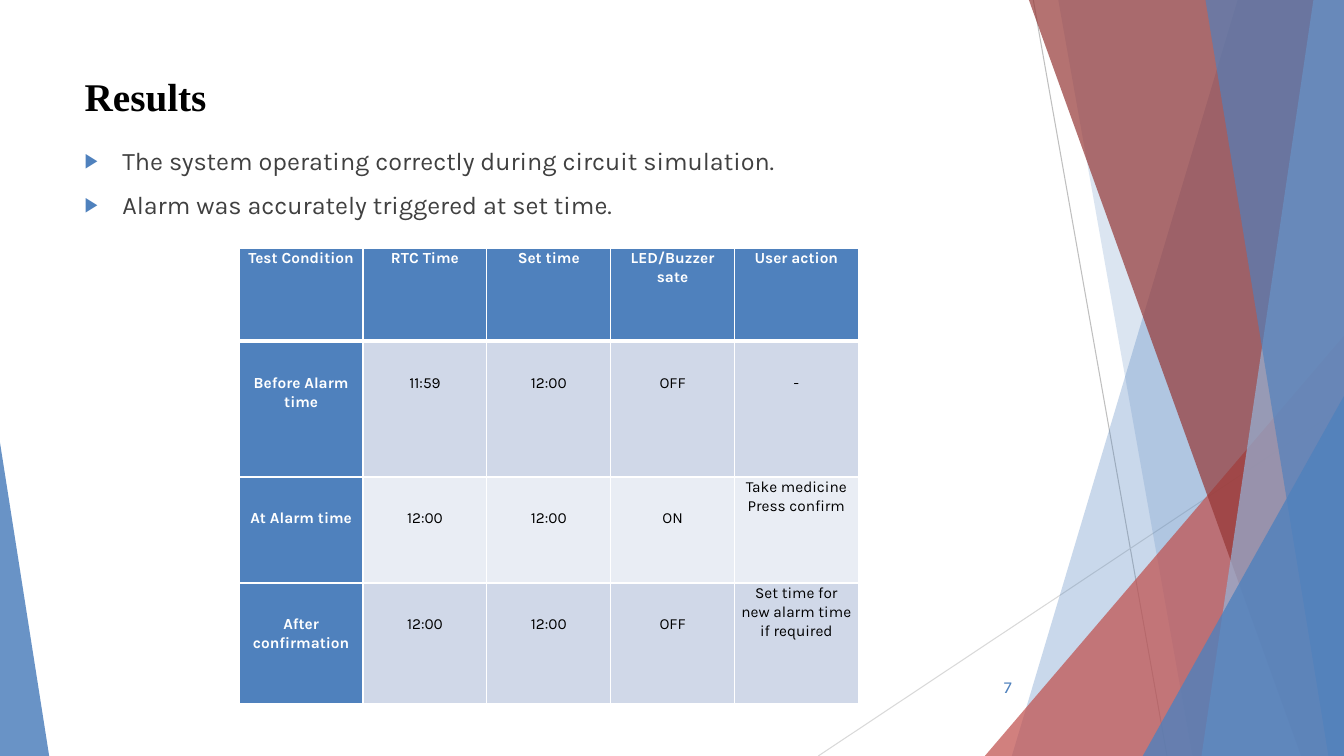
from lxml.etree import SubElement
from pptx import Presentation
from pptx.dml.color import RGBColor
from pptx.enum.shapes import MSO_CONNECTOR, MSO_SHAPE
from pptx.enum.text import MSO_ANCHOR, MSO_AUTO_SIZE, PP_ALIGN
from pptx.oxml.ns import qn
from pptx.util import Cm, Pt

PAGE_WIDTH, PAGE_HEIGHT = 33.87, 19.05
BLUE, WHITE, BLACK = "4F81BD", "FFFFFF", "000000"


def paint(color_format, color):
    color_format.rgb = RGBColor.from_string(color)


class ResultsPage:
    """Holds the style and the current slide, and draws each kind of element."""

    font = "Karla"
    bands = ["D0D8E8", "E9EDF4"]

    def __init__(self, deck):
        self.page = deck.slides.add_slide(deck.slide_layouts[1])

    def format_runs(self, para, size, color, bold=False, font=None):
        for span in para.runs:
            span.font.name = font or self.font
            span.font.size = Pt(size)
            span.font.bold = bold
            paint(span.font.color, color)

    def fill_shape(self, shape, color, opacity):
        shape.shadow.inherit = False
        shape.fill.solid()
        paint(shape.fill.fore_color, color)
        shape.line.fill.background()
        for solid in shape.element.spPr.iterchildren(qn("a:solidFill")):
            SubElement(solid[0], qn("a:alpha"), val=str(opacity * 1000))

    def line(self, start, end, color):
        line = self.page.shapes.add_connector(
            MSO_CONNECTOR.STRAIGHT, *(Cm(value) for value in start + end))
        paint(line.line.color, color)
        line.line.width = Pt(0.75)
        SubElement(line.element.spPr, qn("a:effectLst"))

    def facet(self, top_x, bottom_x, color, opacity):
        corners = [(PAGE_WIDTH, 0), (PAGE_WIDTH, PAGE_HEIGHT), (bottom_x, PAGE_HEIGHT)]
        builder = self.page.shapes.build_freeform(Cm(top_x), 0)
        builder.add_line_segments([(Cm(x), Cm(y)) for x, y in corners], close=True)
        self.fill_shape(builder.convert_to_shape(), color, opacity)

    def triangle(self, left, top, width, apex, color, opacity):
        shape = self.page.shapes.add_shape(
            MSO_SHAPE.ISOSCELES_TRIANGLE, Cm(left), Cm(top), Cm(width), Cm(PAGE_HEIGHT - top))
        shape.adjustments[0] = apex
        self.fill_shape(shape, color, opacity)

    def place(self, box, left, top, width, height):
        box.left, box.top, box.width, box.height = map(Cm, (left, top, width, height))
        box.element.getparent().append(box.element)
        frame = box.text_frame
        frame.word_wrap = True
        frame.auto_size = MSO_AUTO_SIZE.NONE
        frame.vertical_anchor = MSO_ANCHOR.TOP
        return frame

    def title(self, text):
        frame = self.place(self.page.shapes.title, 1.88, 1.7, 23.88, 3.66)
        frame.text = text
        para = frame.paragraphs[0]
        para.alignment = PP_ALIGN.LEFT
        self.format_runs(para, 28, BLACK, True, "Times New Roman")

    def bullets(self, items):
        frame = self.place(self.page.placeholders[1], 1.88, 3.53, 23.88, 10.77)
        frame.text = "\n".join(items)
        for index, para in enumerate(frame.paragraphs):
            para.space_before = Pt(10 if index else 0)
            props = para._p.get_or_add_pPr()
            props.set("marL", str(Cm(0.95)))
            props.set("indent", str(Cm(-0.95)))
            SubElement(SubElement(props, qn("a:buClr")), qn("a:srgbClr"), val=BLUE)
            SubElement(props, qn("a:buSzPct"), val="80000")
            SubElement(props, qn("a:buChar"), char="▶")
            self.format_runs(para, 18, "404040")

    def border(self, cell, side, width):
        edge = SubElement(cell._tc.get_or_add_tcPr(), qn("a:ln" + side), w=str(Pt(width)))
        SubElement(SubElement(edge, qn("a:solidFill")), qn("a:srgbClr"), val=WHITE)

    def cell(self, cell, text, row, column):
        heading = row == 0 or column == 0
        lowered = row > 0 and (column < 4 or text == "-")
        for side in "LRTB":
            under_header = (row, side) in [(0, "B"), (1, "T")]
            self.border(cell, side, 3 if under_header else 1)
        cell.fill.solid()
        paint(cell.fill.fore_color, BLUE if heading else self.bands[(row - 1) % 2])
        cell.margin_left = cell.margin_right = Cm(0.17)
        cell.margin_top = Cm(0.79 if lowered else 0)
        cell.margin_bottom = 0
        cell.text_frame.text = text
        para = cell.text_frame.paragraphs[0]
        para.alignment = PP_ALIGN.CENTER
        para.line_spacing = 1.07
        para.space_after = Pt(8)
        self.format_runs(para, 11, WHITE if heading else BLACK, heading)

    def table(self, rows, heights, left, top, column_width):
        columns = len(rows[0])
        table = self.page.shapes.add_table(
            len(rows), columns, Cm(left), Cm(top),
            Cm(column_width * columns), Cm(sum(heights))).table
        for column in table.columns:
            column.width = Cm(column_width)
        for row, (texts, height) in enumerate(zip(rows, heights)):
            table.rows[row].height = Cm(height)
            for column, text in enumerate(texts):
                self.cell(table.cell(row, column), text, row, column)

    def page_number(self, text):
        box = self.page.shapes.add_textbox(0, 0, 0, 0)
        frame = self.place(box, 23.85, 16.79, 1.9, 1.02)
        frame.vertical_anchor = MSO_ANCHOR.MIDDLE
        frame.text = text
        frame.paragraphs[0].alignment = PP_ALIGN.RIGHT
        self.format_runs(frame.paragraphs[0], 12, BLUE)


def main():
    deck = Presentation()
    deck.slide_width, deck.slide_height = Cm(PAGE_WIDTH), Cm(PAGE_HEIGHT)
    results = ResultsPage(deck)

    results.line((26.04, 0), (29.41, PAGE_HEIGHT), "BFBFBF")
    results.line((PAGE_WIDTH, 10.24), (20.62, PAGE_HEIGHT), "D9D9D9")
    results.facet(31.19, 25.5, BLUE, 30)
    results.facet(26.67, 30.05, BLUE, 20)
    results.triangle(24.82, 8.46, 9.05, 1, "C0504D", 72)
    results.facet(25.93, 32.79, "953735", 70)
    results.facet(33.1, 30.28, "95B3D7", 70)
    results.facet(30.38, 33.48, BLUE, 65)
    results.triangle(28.8, 9.98, 5.07, 1, BLUE, 80)
    results.triangle(0, 11.15, 1.24, 0, BLUE, 85)

    results.title("Results")
    results.bullets([
        "The system operating correctly during circuit simulation.",
        "Alarm was accurately triggered at set time.",
    ])
    results.table([
        ["Test Condition", "RTC Time", "Set time", "LED/Buzzer sate", "User action"],
        ["Before Alarm time", "11:59", "12:00", "OFF", "-"],
        ["At Alarm time", "12:00", "12:00", "ON", "Take medicine Press confirm"],
        ["After confirmation", "12:00", "12:00", "OFF",
         "Set time for new alarm time if required"],
    ], [2.35, 3.42, 2.67, 3.04], 6.03, 6.25, 3.12)
    results.page_number("7")
    deck.save("out.pptx")


if __name__ == "__main__":
    main()
